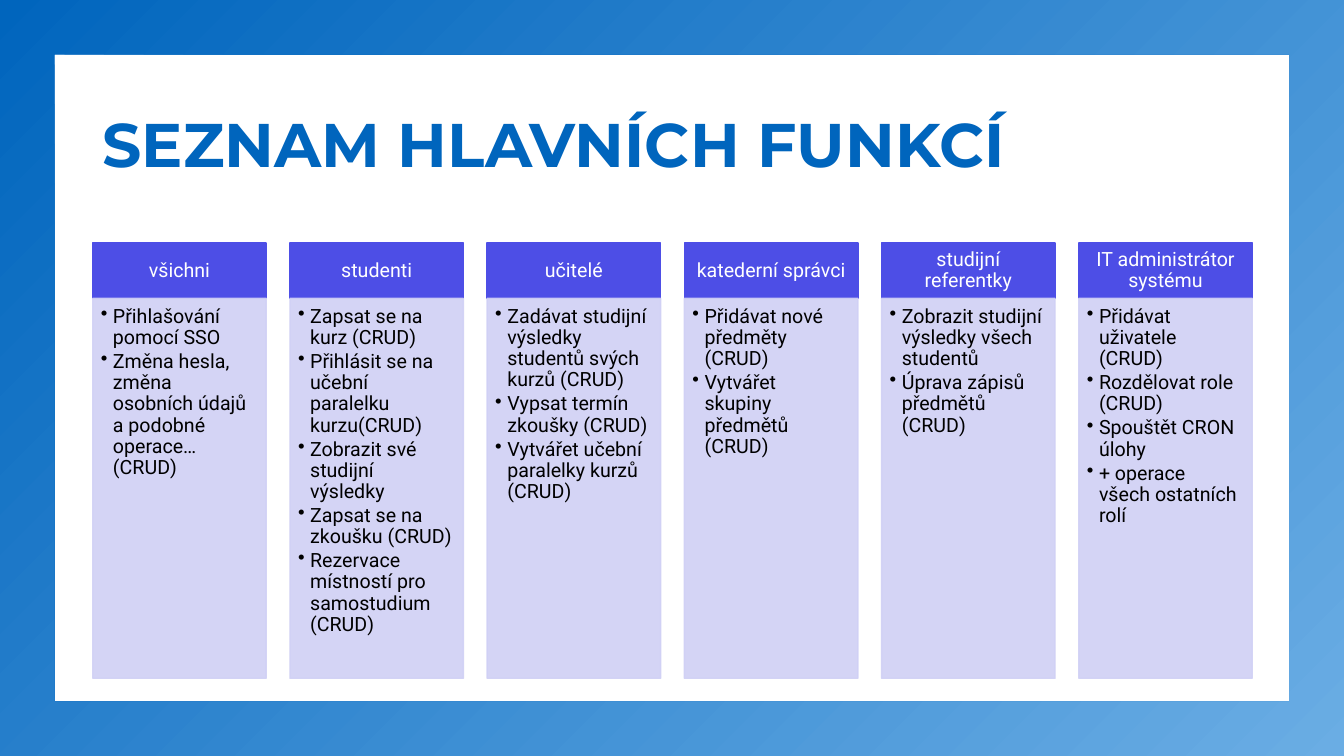
from lxml.etree import SubElement
from pptx import Presentation
from pptx.dml.color import RGBColor
from pptx.enum.shapes import MSO_SHAPE as Preset
from pptx.enum.text import MSO_ANCHOR as Anchor, PP_ALIGN as Align
from pptx.oxml.ns import qn
from pptx.util import Inches, Pt

COLORS = {
    "blue": "0065BD",
    "sky": "6AADE4",
    "header": "4D4EE6",
    "body": "D0D0F5",
    "white": "FFFFFF",
    "black": "000000",
}
ROLES = [
    ("všichni", [
        "Přihlašování pomocí SSO",
        "Změna hesla, změna osobních údajů a podobné operace… (CRUD)",
    ]),
    ("studenti", [
        "Zapsat se na kurz (CRUD)",
        "Přihlásit se na učební paralelku kurzu(CRUD)",
        "Zobrazit své studijní výsledky",
        "Zapsat se na zkoušku (CRUD)",
        "Rezervace místností pro samostudium (CRUD)",
    ]),
    ("učitelé", [
        "Zadávat studijní výsledky studentů svých kurzů (CRUD)",
        "Vypsat termín zkoušky (CRUD)",
        "Vytvářet učební paralelky kurzů (CRUD)",
    ]),
    ("katederní správci", [
        "Přidávat nové předměty (CRUD)",
        "Vytvářet skupiny předmětů (CRUD)",
    ]),
    ("studijní referentky", [
        "Zobrazit studijní výsledky všech studentů",
        "Úprava zápisů předmětů (CRUD)",
    ]),
    ("IT administrátor systému", [
        "Přidávat uživatele (CRUD)",
        "Rozdělovat role (CRUD)",
        "Spouštět CRON úlohy",
        "+ operace všech ostatních rolí",
    ]),
]
COLUMN_WIDTH = 1.72
HEADER_HEIGHT = 0.55


def rgb(name):
    """Return the named colour."""
    return RGBColor.from_string(COLORS[name])


def add_run(paragraph, text, size, font, color, bold=False):
    """Add one formatted run to a paragraph."""
    paragraph.line_spacing = 0.9
    run = paragraph.add_run()
    run.text = text
    run.font.size = Pt(size)
    run.font.name = font
    run.font.bold = bold
    run.font.color.rgb = rgb(color)


def set_frame(text_frame, anchor, margins):
    """Set wrapping, anchor and left, top, right, bottom margins."""
    text_frame.word_wrap = True
    text_frame.vertical_anchor = anchor
    (text_frame.margin_left, text_frame.margin_top,
     text_frame.margin_right, text_frame.margin_bottom) = map(Inches, margins)


def add_bullet(paragraph, indent):
    """Give a paragraph a hanging round bullet."""
    properties = paragraph._p.get_or_add_pPr()
    properties.set("marL", str(Inches(indent)))
    properties.set("indent", str(-Inches(indent)))
    SubElement(properties, qn("a:buChar"), char="•")


def add_panel(slide, box, color, opacity=100):
    """Add a rectangle whose fill and outline share one colour."""
    shape = slide.shapes.add_shape(Preset.RECTANGLE, *map(Inches, box))
    shape.shadow.inherit = False
    shape.fill.solid()
    shape.fill.fore_color.rgb = rgb(color)
    shape.line.color.rgb = rgb(color)
    shape.line.width = Pt(1)
    if opacity < 100:
        for element in shape._element.spPr.iter(qn("a:srgbClr")):
            SubElement(element, qn("a:alpha"), val=str(opacity * 1000))
    return shape


def add_border(slide, box):
    """Draw the gradient frame along the edges of the box."""
    shape = slide.shapes.add_shape(Preset.FRAME, *map(Inches, box))
    shape.adjustments[0] = 0.072
    shape.shadow.inherit = False
    shape.line.fill.background()
    shape.fill.gradient()
    shape.fill.gradient_angle = 315
    for stop, color, position in zip(shape.fill.gradient_stops, ("blue", "sky"), (0, 1)):
        stop.color.rgb = rgb(color)
        stop.position = position


def add_title(slide, box, text):
    """Write the slide title, centred vertically in the box."""
    text_frame = slide.shapes.add_textbox(*map(Inches, box)).text_frame
    set_frame(text_frame, Anchor.MIDDLE, (0.1, 0.05, 0.1, 0.05))
    add_run(text_frame.paragraphs[0], text, 44, "Montserrat", "blue", bold=True)


def add_role(slide, box, name, tasks):
    """Place one role's header and its task list in the box."""
    left, top, width, height = box
    header = add_panel(slide, (left, top, width, HEADER_HEIGHT), "header")
    set_frame(header.text_frame, Anchor.MIDDLE, (0.11, 0.06, 0.11, 0.06))
    heading = header.text_frame.paragraphs[0]
    heading.alignment = Align.CENTER
    add_run(heading, name, 14, "Roboto", "white")

    body_box = (left, top + HEADER_HEIGHT, width, height - HEADER_HEIGHT)
    text_frame = add_panel(slide, body_box, "body", opacity=90).text_frame
    set_frame(text_frame, Anchor.TOP, (0.08, 0.08, 0.11, 0.12))
    for index, task in enumerate(tasks):
        paragraph = text_frame.add_paragraph() if index else text_frame.paragraphs[0]
        paragraph.alignment = Align.LEFT
        paragraph.space_after = Pt(2)
        add_run(paragraph, task, 14, "Roboto", "black")
        add_bullet(paragraph, 0.12)


def add_roles(slide, box, roles):
    """Spread the role columns evenly across the box."""
    left, top, width, height = box
    pitch = (width - COLUMN_WIDTH) / (len(roles) - 1)
    for index, (name, tasks) in enumerate(roles):
        add_role(slide, (left + index * pitch, top, COLUMN_WIDTH, height), name, tasks)


def main():
    """Build and save the presentation."""
    presentation = Presentation()
    presentation.slide_width = Inches(13.33)
    presentation.slide_height = Inches(7.5)
    slide = presentation.slides.add_slide(presentation.slide_layouts[6])
    add_border(slide, (0, 0, 13.33, 7.5))
    add_title(slide, (0.92, 0.74, 11.5, 1.45), "SEZNAM HLAVNÍCH FUNKCÍ")
    add_roles(slide, (0.92, 2.41, 11.5, 4.32), ROLES)
    presentation.save("out.pptx")


if __name__ == "__main__":
    main()
